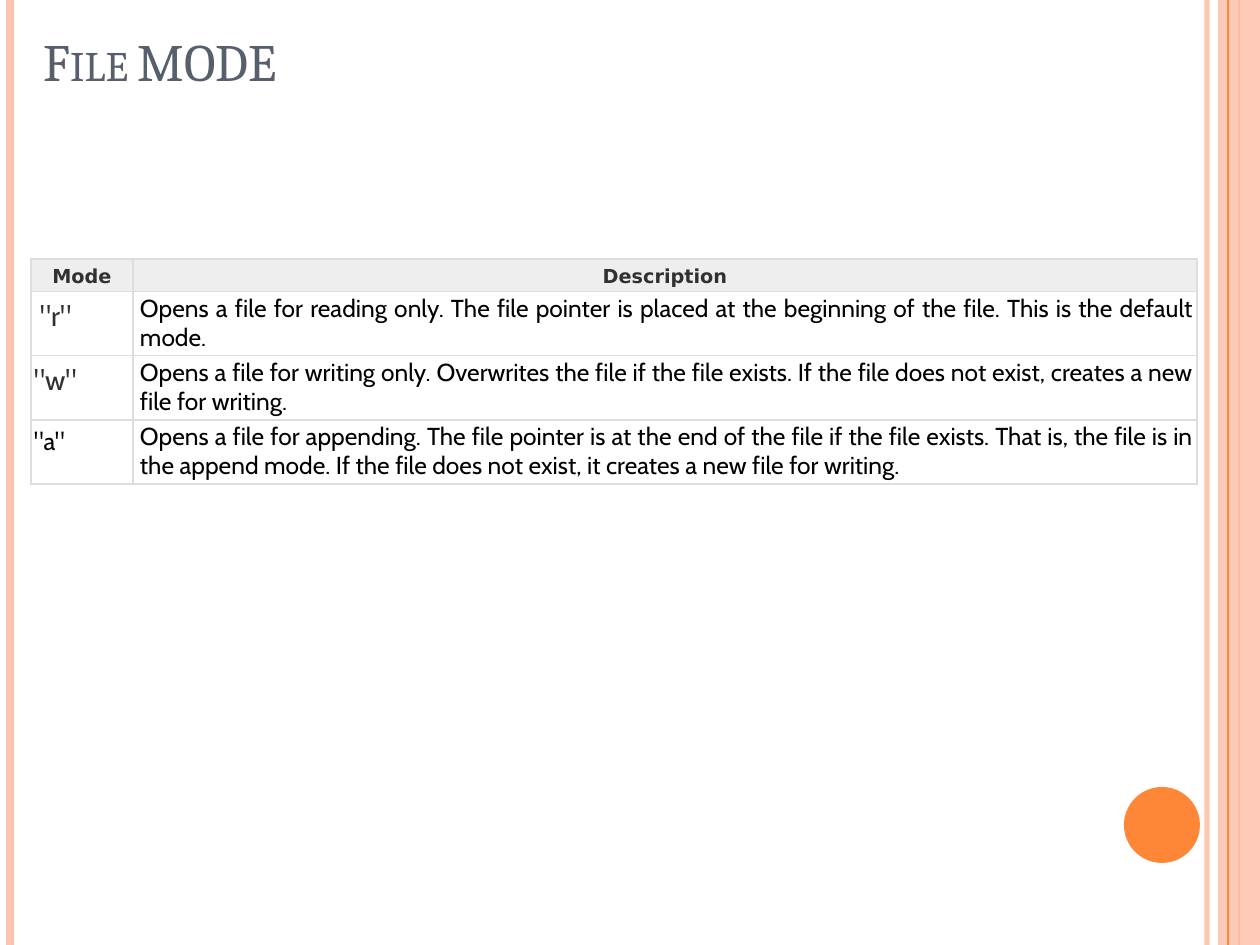
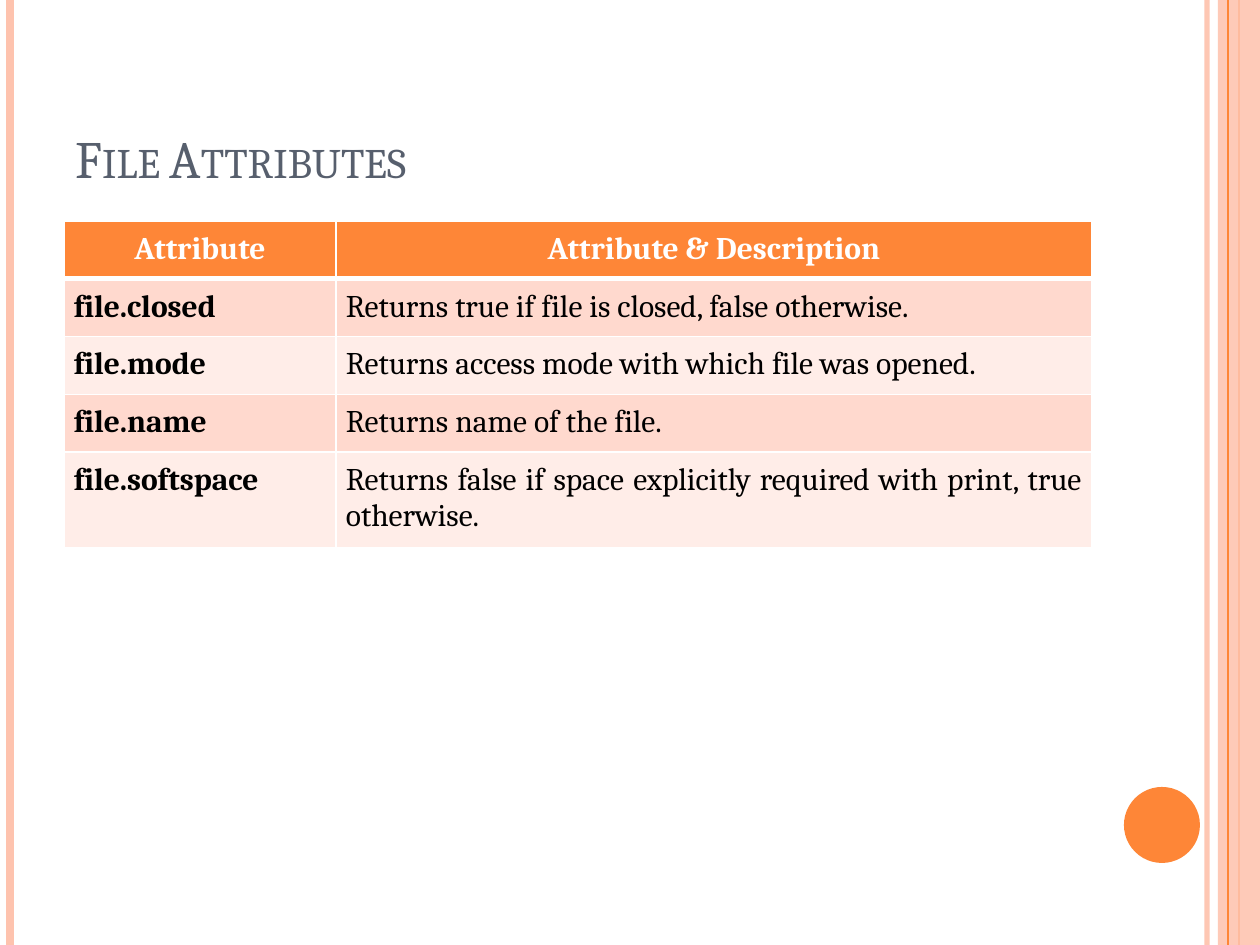
from dataclasses import dataclass, replace
from typing import Optional, Union

from lxml.etree import SubElement as Sub
from pptx import Presentation
from pptx.dml.color import RGBColor as Rgb
from pptx.enum.shapes import MSO_CONNECTOR as Link, MSO_SHAPE as Form
from pptx.enum.text import MSO_ANCHOR as Anchor, PP_ALIGN as Align
from pptx.oxml.ns import qn
from pptx.util import Emu, Pt

WIDE, HIGH = 1260, 945


@dataclass(frozen=True)
class Theme:
    peach: str = "FEC3AE"
    orange: str = "FE8637"
    slate: str = "575F6D"
    white: str = "FFFFFF"
    black: str = "000000"
    ink: str = "313131"
    grey: str = "EEEEEE"
    rule: str = "DDDDDD"
    bands: tuple = ("FFD9CE", "FFEDE8")
    serif: str = "Cambria"
    sans: str = "Cabin"
    head: str = "DejaVu Sans"
    title: int = 30
    label: int = 18
    mode: int = 16
    body: int = 14
    small: int = 11


T = Theme()


@dataclass(frozen=True)
class Style:
    face: str
    size: int
    color: str
    bold: bool = False
    align: Align = Align.LEFT
    lead: Union[float, Pt, None] = None
    after: float = 0
    indent: int = 0


@dataclass(frozen=True)
class Cell:
    text: str
    style: Style
    fill: Optional[str] = None
    base: float = 1  # width of the bottom border


@dataclass(frozen=True)
class Grid:
    left: int
    top: int
    cols: tuple
    rows: tuple
    inset: int
    edge: str
    cells: list


@dataclass(frozen=True)
class Stripe:
    x: int
    color: str
    width: float
    alpha: int = 100


def px(n: int) -> Emu:
    return Emu(round(n * 914400 / 126))


def fade(fill, alpha: int) -> None:
    """Set the opacity, in percent, of a solid fill element."""
    if alpha < 100:
        Sub(fill.find(qn("a:srgbClr")), qn("a:alpha"), val=str(alpha * 1000))


def write(frame, text: str, style: Style):
    para = frame.paragraphs[0]
    para.alignment = style.align
    if style.lead:
        para.line_spacing = style.lead
    if style.after:
        para.space_after = Pt(style.after)
    if style.indent:
        para._p.get_or_add_pPr().set("marL", str(px(style.indent)))
    run = para.add_run()
    run.text = text
    font = run.font
    font.name, font.size, font.bold = style.face, Pt(style.size), style.bold
    font.color.rgb = Rgb.from_string(style.color)
    return run


# Frame shared by every slide
def stripe(slide, item: Stripe) -> None:
    line = slide.shapes.add_connector(
        Link.STRAIGHT, px(item.x), 0, px(item.x), px(HIGH))
    line.line.color.rgb = Rgb.from_string(item.color)
    line.line.width = Pt(item.width)
    props = line._element.spPr
    fade(props.find(qn("a:ln")).find(qn("a:solidFill")), item.alpha)
    Sub(props, qn("a:effectLst"))


def block(slide, form: Form, box: tuple, color: str, alpha: int = 100) -> None:
    shape = slide.shapes.add_shape(form, *map(px, box))
    shape.shadow.inherit = False
    shape.fill.solid()
    shape.fill.fore_color.rgb = Rgb.from_string(color)
    fade(shape._element.spPr.find(qn("a:solidFill")), alpha)
    shape.line.fill.background()


def frame(slide) -> None:
    for item in (Stripe(1207, T.peach, 3, 93), Stripe(10, T.peach, 4.5),
                 Stripe(1239, T.orange, 1.5)):
        stripe(slide, item)
    block(slide, Form.RECTANGLE, (1218, 0, WIDE - 1218, HIGH), T.peach, 87)
    stripe(slide, Stripe(1228, T.orange, 0.75))
    block(slide, Form.OVAL, (1124, 787, 76, 76), T.orange)


def title(slide, text: str, box: tuple) -> None:
    area = slide.shapes.add_textbox(*map(px, box)).text_frame
    area.word_wrap = True
    area.vertical_anchor = Anchor.BOTTOM
    run = write(area, text, Style(T.serif, T.title, T.slate))
    run.font._element.set("cap", "small")


# Tables
def border(cell, color: str, base: float) -> None:
    props = cell._tc.get_or_add_tcPr()
    for side in "LRTB":
        width = Pt(base if side == "B" else 1)
        line = Sub(props, qn(f"a:ln{side}"), w=str(width))
        Sub(Sub(line, qn("a:solidFill")), qn("a:srgbClr"), val=color)


def table(slide, grid: Grid) -> None:
    size = sum(grid.cols), sum(grid.rows)
    tab = slide.shapes.add_table(
        len(grid.rows), len(grid.cols),
        *map(px, (grid.left, grid.top, *size))).table
    tab.first_row = tab.horz_banding = False
    for col, width in zip(tab.columns, grid.cols):
        col.width = px(width)
    for row, height, items in zip(tab.rows, grid.rows, grid.cells):
        row.height = px(height)
        for cell, item in zip(row.cells, items):
            pad = px(grid.inset)
            cell.margin_left = cell.margin_right = pad
            cell.margin_top = cell.margin_bottom = pad
            border(cell, grid.edge, item.base)
            if item.fill:
                cell.fill.solid()
                cell.fill.fore_color.rgb = Rgb.from_string(item.fill)
            else:
                cell.fill.background()
            write(cell.text_frame, item.text, item.style)


def modes() -> Grid:
    head = Style(T.head, T.small, T.ink, True, Align.CENTER, 1.15, 13.8)
    mark = Style(T.sans, T.mode, T.ink, lead=1.15)
    note = Style(T.sans, T.body, T.black, align=Align.JUSTIFY,
                 lead=Pt(16.6), after=7.2, indent=4)
    rows = [
        ('"r"', replace(mark, indent=6, after=13.8),
         "Opens a file for reading only. The file pointer is placed at the "
         "beginning of the file. This is the default mode."),
        ('"w"', mark,
         "Opens a file for writing only. Overwrites the file if the file "
         "exists. If the file does not exist, creates a new file for "
         "writing."),
        ('"a"', replace(mark, size=T.body, color=T.black),
         "Opens a file for appending. The file pointer is at the end of the "
         "file if the file exists. That is, the file is in the append mode. "
         "If the file does not exist, it creates a new file for writing."),
    ]
    cells = [[Cell(word, head, T.grey) for word in ("Mode", "Description")]]
    cells += [[Cell(key, style), Cell(text, note)] for key, style, text in rows]
    return Grid(31, 259, (102, 1064), (32, 64, 64, 64), 3, T.rule, cells)


def traits() -> Grid:
    head = Style(T.serif, T.label, T.white, True, Align.CENTER)
    name = replace(head, color=T.black, align=Align.LEFT)
    note = replace(name, bold=False, align=Align.JUSTIFY)
    rows = [
        ("file.closed", "Returns true if file is closed, false otherwise."),
        ("file.mode", "Returns access mode with which file was opened."),
        ("file.name", "Returns name of the file."),
        ("file.softspace", "Returns false if space explicitly required with "
                           "print, true otherwise."),
    ]
    cells = [[Cell(word, head, T.orange, 3)
              for word in ("Attribute", "Attribute & Description")]]
    for i, (key, text) in enumerate(rows):
        band = T.bands[i % 2]
        cells.append([Cell(key, name, band), Cell(text, note, band)])
    return Grid(64, 221, (272, 756), (57, 57, 57, 57, 94), 10, T.white, cells)


def main() -> None:
    deck = Presentation()
    deck.slide_width, deck.slide_height = px(WIDE), px(HIGH)
    pages = [("File MODE", (31, 0, 1030, 98), modes()),
             ("File Attributes", (63, 38, 1030, 157), traits())]
    for text, box, grid in pages:
        slide = deck.slides.add_slide(deck.slide_layouts[6])
        frame(slide)
        title(slide, text, box)
        table(slide, grid)
    deck.save("out.pptx")


if __name__ == "__main__":
    main()
